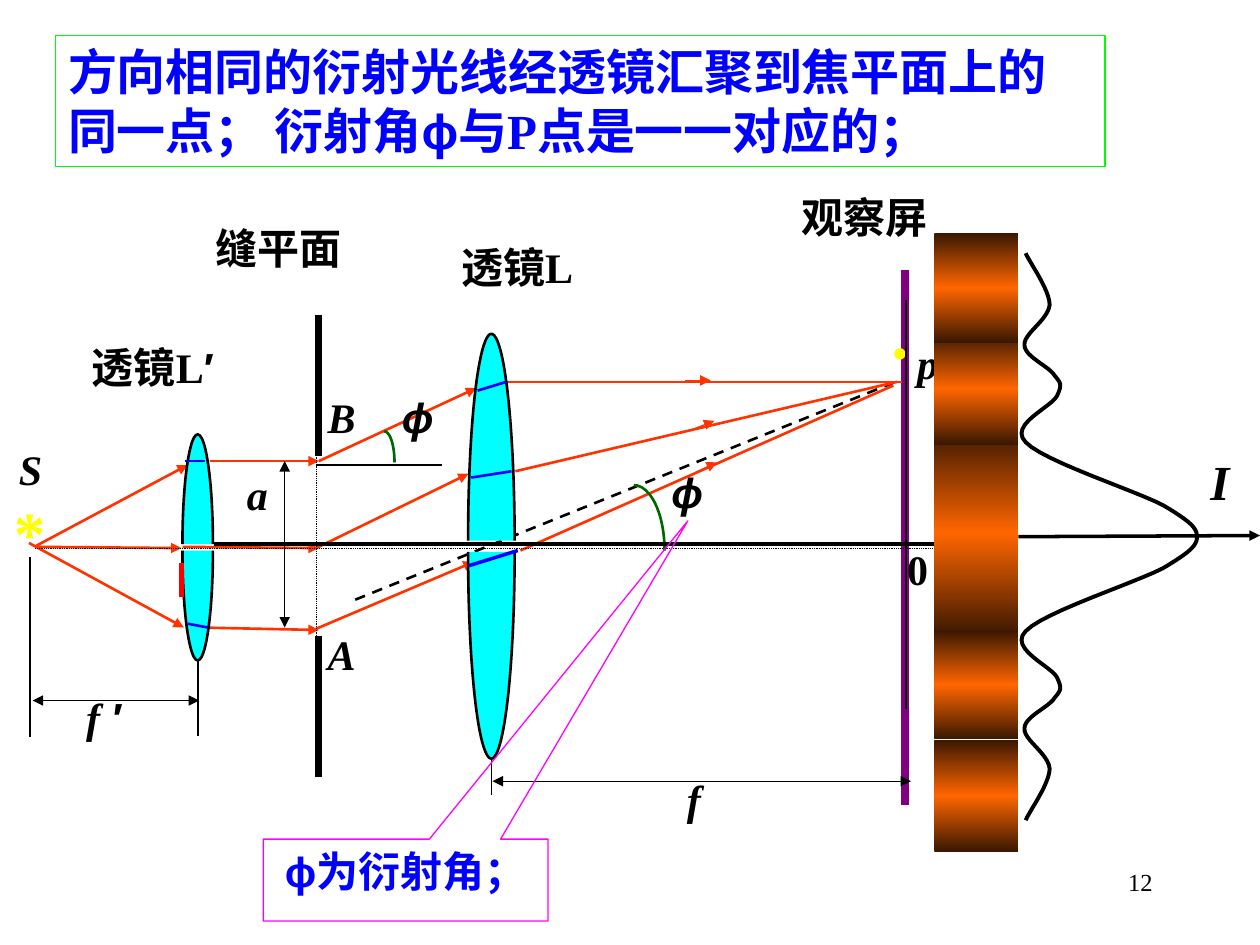
from copy import deepcopy
from dataclasses import dataclass

from lxml.etree import SubElement
from pptx import Presentation
from pptx.dml.color import RGBColor
from pptx.enum.dml import MSO_LINE_DASH_STYLE as Dash
from pptx.enum.shapes import MSO_CONNECTOR as Connector, MSO_SHAPE as Preset
from pptx.enum.text import MSO_ANCHOR as Anchor, MSO_AUTO_SIZE as AutoSize, PP_ALIGN as Align
from pptx.oxml.ns import qn
from pptx.util import Pt


@dataclass(frozen=True)
class Theme:
    black: str = "000000"
    blue: str = "0000FF"
    ray: str = "FF3300"
    lens: str = "00FFFF"
    angle: str = "006600"
    screen: str = "800080"
    yellow: str = "FFFF00"
    red: str = "FF0000"
    frame: str = "00FF00"
    callout: str = "FF00FF"
    dark: str = "391700"
    bright: str = "FF6600"
    serif: str = "Times New Roman"
    sans: str = "Arial"
    cjk: str = "Noto Sans CJK SC"
    page: int = 14
    body: int = 24
    title: int = 28
    star: int = 36
    dot: int = 40


THEME = Theme()


def rgb(value):
    return RGBColor.from_string(value)


def write(frame, runs, inset=(7.2, 3.6), align=Align.LEFT, color=THEME.black, **formats):
    layout = {"word_wrap": True, "auto_size": AutoSize.NONE, "vertical_anchor": Anchor.TOP,
              "margin_left": Pt(inset[0]), "margin_right": Pt(inset[0]),
              "margin_top": Pt(inset[1]), "margin_bottom": Pt(inset[1])}
    for name, value in layout.items():
        setattr(frame, name, value)
    paragraph = frame.paragraphs[0]
    paragraph.alignment = align
    for text, font_name in runs:
        run = paragraph.add_run()
        run.text = text
        values = {"name": font_name, "size": Pt(THEME.body), "bold": True, "italic": False} | formats
        for name, value in values.items():
            setattr(run.font, name, value)
        run.font.color.rgb = rgb(color)
        run.font._element.find(qn("a:latin")).addnext(
            SubElement(run.font._element, qn("a:ea"), typeface=THEME.cjk))


def outline(shape, color, width, fill=None):
    shape.shadow.inherit = False
    shape.line.color.rgb = rgb(color)
    shape.line.width = Pt(width)
    if fill:
        shape.fill.solid()
        shape.fill.fore_color.rgb = rgb(fill)
    else:
        shape.fill.background()


@dataclass
class Region:
    shapes: object
    left: float
    top: float

    def place(self, x, y):
        return Pt(self.left + x), Pt(self.top + y)

    def line(self, points, color=THEME.black, width=1, dash=None, ends=()):
        x1, y1, x2, y2 = points
        connector = self.shapes.add_connector(
            Connector.STRAIGHT, *self.place(x1, y1), *self.place(x2, y2))
        connector.line.color.rgb = rgb(color)
        connector.line.width = Pt(width)
        if dash:
            connector.line.dash_style = dash
        for end in ends:
            SubElement(connector.line._get_or_add_ln(), qn(f"a:{end}"), type="triangle")
        SubElement(connector._element.spPr, qn("a:effectLst"))

    def dimension(self, points):
        self.line(points, width=0.75, ends=("headEnd", "tailEnd"))

    def label(self, box, text, font=THEME.serif, tail="", **formats):
        left, top, width, height = box
        shape = self.shapes.add_textbox(*self.place(left, top), Pt(width), Pt(height))
        runs = [(text, font)] + ([(tail, THEME.sans)] if tail else [])
        write(shape.text_frame, runs, inset=(0.7, 0.7), **formats)

    def arc(self, center, radii, angles, color, fill=None):
        (x, y), (rx, ry) = center, radii
        shape = self.shapes.add_shape(Preset.ARC, *self.place(x - rx, y - ry), Pt(2 * rx), Pt(2 * ry))
        for index, angle in enumerate(angles):
            shape.adjustments[index] = angle * 0.6
        outline(shape, color, 1.5, fill)

    def lens(self, x, upper, lower, radii):
        self.arc((x, lower), radii, (0, 180), THEME.black, THEME.lens)
        self.arc((x, upper), radii, (180, 0), THEME.black, THEME.lens)


def add_title(slide, left, top, width, height):
    title = slide.shapes.title
    title.left, title.top, title.width, title.height = Pt(left), Pt(top), Pt(width), Pt(height)
    title.line.color.rgb = rgb(THEME.frame)
    title.line.width = Pt(0.75)
    write(title.text_frame, [("方向相同的衍射光线经透镜汇聚到焦平面上的同一点； 衍射角", THEME.serif),
                             ("ϕ", THEME.sans), ("与P点是一一对应的；", THEME.serif)],
          color=THEME.blue, size=Pt(THEME.title))


def add_source(region):
    region.label((0.2, 87.5, 35.3, 62.6), "*", color=THEME.yellow, size=Pt(THEME.star))
    for ray in [(97.4, 118.5, 175.2, 119.2), (113.2, 69.5, 175.2, 69.5),
                (106.8, 164.6, 175.2, 166), (14.6, 118.5, 96.7, 119.2),
                (13.9, 117.8, 100.3, 71.7), (9.6, 116.3, 98.1, 164.6)]:
        region.line(ray, THEME.ray, 1.5, ends=("tailEnd",))
    region.label((3.1, 58.7, 35.3, 40.3), "S", italic=True)
    region.dimension((11.7, 206.3, 106.8, 206.3))
    region.line((10.3, 124.2, 10.3, 227.2))
    region.line((106, 181.1, 106, 226.5))
    region.label((41.5, 200.6, 40, 52.6), "f ", tail="′", italic=True)
    region.label((44.8, 0.4, 110.9, 48.2), "透镜L", tail="′")
    region.lens(106, 117, 120.6, (8.7, 62.8))
    for ray in [(98.8, 69.5, 110.4, 69.5), (100.3, 162.4, 111.8, 164.6)]:
        region.line(ray, THEME.blue, 1.5)
    region.line((96.7, 127.8, 96.7, 147.3), THEME.red, 3)


def add_slit(region):
    for ray in [(58.7, 187.2, 145.8, 144.7), (60.2, 137.5, 150.2, 95.8), (58.7, 233.3, 148.7, 195.1)]:
        region.line(ray, THEME.ray, 1.5, ends=("tailEnd",))
    region.line((58.7, 139.7, 130.7, 139.7))
    region.arc((97.6, 138.2), (5.9, 17.8), (270, 0), THEME.angle)
    region.dimension((40.7, 137.5, 40.7, 232.6))
    for top in (54, 237.6):
        region.line((60.2, top, 60.2, top + 80.6), width=4)
    region.line((58.7, 133.9, 58.7, 239), width=0.5, dash=Dash.ROUND_DOT)
    region.label((0.4, 0.7, 115.9, 49.7), "缝平面")
    region.label((107, 97.2, 26.6, 43.2), "ϕ", THEME.sans, italic=True)
    for text, left, top in [("a", 18.4, 141.1), ("A", 64.5, 232.6), ("B", 64.5, 97.2)]:
        region.label((left, top, 30, 40), text, italic=True)


def add_screen(region):
    region.line((1, 234.7, 313.5, 108.7), width=1.5, dash=Dash.DASH)
    region.line((315, 46.1, 315, 352.1), THEME.screen, 4.5)
    for ray in [(86, 110.2, 313.5, 110.2), (92.5, 161.3, 310.6, 110.2), (95.4, 206.6, 308.5, 112.3)]:
        region.line(ray, THEME.ray, 1.5)
    region.arc((160.2, 206.6), (17.6, 37.4), (270, 0), THEME.angle)
    region.line((78.8, 323.3, 78.8, 346.3))
    region.label((189.9, 333.4, 48.7, 38.9), "f", italic=True)
    region.label((181, 157.7, 31, 38.9), "ϕ", THEME.sans, italic=True)
    region.label((60.8, 29.5, 125.3, 47.5), "透镜L")
    region.label((304.9, 67, 49, 59.8), "·", color=THEME.yellow, size=Pt(THEME.dot))
    region.label((321.4, 84.2, 35.3, 47.5), "p", italic=True)
    region.lens(78.8, 200.9, 207.4, (13.3, 118.1))
    for ray, width in [((65.8, 215.3, 93.9, 206.6), 2), ((67.3, 164.9, 90.3, 161.3), 1.5),
                       ((70.9, 115.2, 87.4, 110.2), 1.5)]:
        region.line(ray, THEME.blue, width)
    region.label((255.2, 0.7, 115.9, 36.7), "观察屏")
    for arrow in [(189.7, 109.4, 204.1, 109.4), (191.8, 138.2, 206.2, 132.5), (195.4, 162, 207.7, 156.2)]:
        region.line(arrow, THEME.ray, 0.75, ends=("tailEnd",))
    region.label((315.7, 201.6, 22, 38), "0")
    region.dimension((79.5, 338.4, 318.6, 338.4))
    region.line((315.7, 63.4, 315.7, 297.4), width=0.75)


def add_axis(region):
    region.line((0.2, 2.2, 542.3, 2.2), width=0.5, dash=Dash.ROUND_DOT)
    region.line((102.4, 0, 548.8, 0), width=2.25)


def add_callout(region, width, height):
    shape = region.shapes.add_shape(
        Preset.RECTANGULAR_CALLOUT, *region.place(0, 0), Pt(width), Pt(height))
    shape.adjustments[0], shape.adjustments[1] = 0.991, -4.387
    outline(shape, THEME.callout, 0.75)
    write(shape.text_frame, [("ϕ", THEME.sans), ("为衍射角；", THEME.cjk)],
          align=Align.CENTER, color=THEME.blue)


def add_fringes(region, width):
    for top, height in [(112.3, 118.1), (56.9, 64.1), (0, 62.6), (289.4, 64.1), (226.8, 62.6)]:
        band = region.shapes.add_shape(Preset.RECTANGLE, *region.place(0, top), Pt(width), Pt(height))
        band.shadow.inherit = False
        band.line.fill.background()
        band.fill.gradient()
        band.fill.gradient_angle = 90
        stops = band._element.spPr.find(".//" + qn("a:gsLst"))
        stops.append(deepcopy(stops[0]))
        colors = (THEME.dark, THEME.bright, THEME.dark)
        for stop, color, position in zip(band.fill.gradient_stops, colors, (0, 0.5, 1)):
            stop.color.rgb = rgb(color)
            stop.position = position


def bezier(points, steps=12):
    for index in range(1, steps + 1):
        t = index / steps
        weights = ((1 - t) ** 3, 3 * t * (1 - t) ** 2, 3 * t * t * (1 - t), t ** 3)
        yield tuple(sum(w * p[axis] for w, p in zip(weights, points)) for axis in (0, 1))


def add_intensity(region):
    upper = [(4.1, 0.7), (6.2, 5.8), (17.8, 21.6), (17.8, 30.2), (17, 38.9), (2.6, 46.8), (3.4, 53.3),
             (3.4, 59.8), (17.8, 65.5), (20.6, 70.6), (24.2, 74.9), (25, 75.6), (22.1, 82.1),
             (19.2, 88.6), (-6, 98.6), (4.1, 108.7), (14.2, 119.5), (66, 136.1), (82.6, 144.7),
             (98.4, 154.1), (102, 157.7), (102, 162.7)]
    controls = upper + [(x, 325.4 - y) for x, y in reversed(upper[:-1])]
    curve = [point for start in range(0, len(controls) - 1, 3)
             for point in bezier(controls[start:start + 4])]
    region.line((0, 162.7, 138, 162), width=2, ends=("tailEnd",))
    builder = region.shapes.build_freeform(*region.place(*upper[0]))
    builder.add_line_segments([region.place(*point) for point in curve], close=False)
    outline(builder.convert_to_shape(), THEME.black, 2.25)
    region.label((109, 113.1, 28, 34), "I", italic=True, size=Pt(THEME.title))


def main():
    presentation = Presentation()
    presentation.slide_width, presentation.slide_height = Pt(720), Pt(540)
    slide = presentation.slides.add_slide(presentation.slide_layouts[5])
    shapes = slide.shapes
    add_title(slide, 31.7, 20.2, 599.8, 74.9)
    add_source(Region(shapes, 7, 194))
    add_slit(Region(shapes, 122, 126))
    add_screen(Region(shapes, 202, 108))
    add_axis(Region(shapes, 20, 311))
    add_callout(Region(shapes, 150.5, 479.5), 162.7, 46.8)
    add_fringes(Region(shapes, 534, 133.2), 48)
    add_intensity(Region(shapes, 582, 144))
    Region(shapes, 516, 494.7).label((0, 0, 143.5, 30), "12", align=Align.RIGHT,
                                     size=Pt(THEME.page), bold=False)
    presentation.save("out.pptx")


if __name__ == "__main__":
    main()
